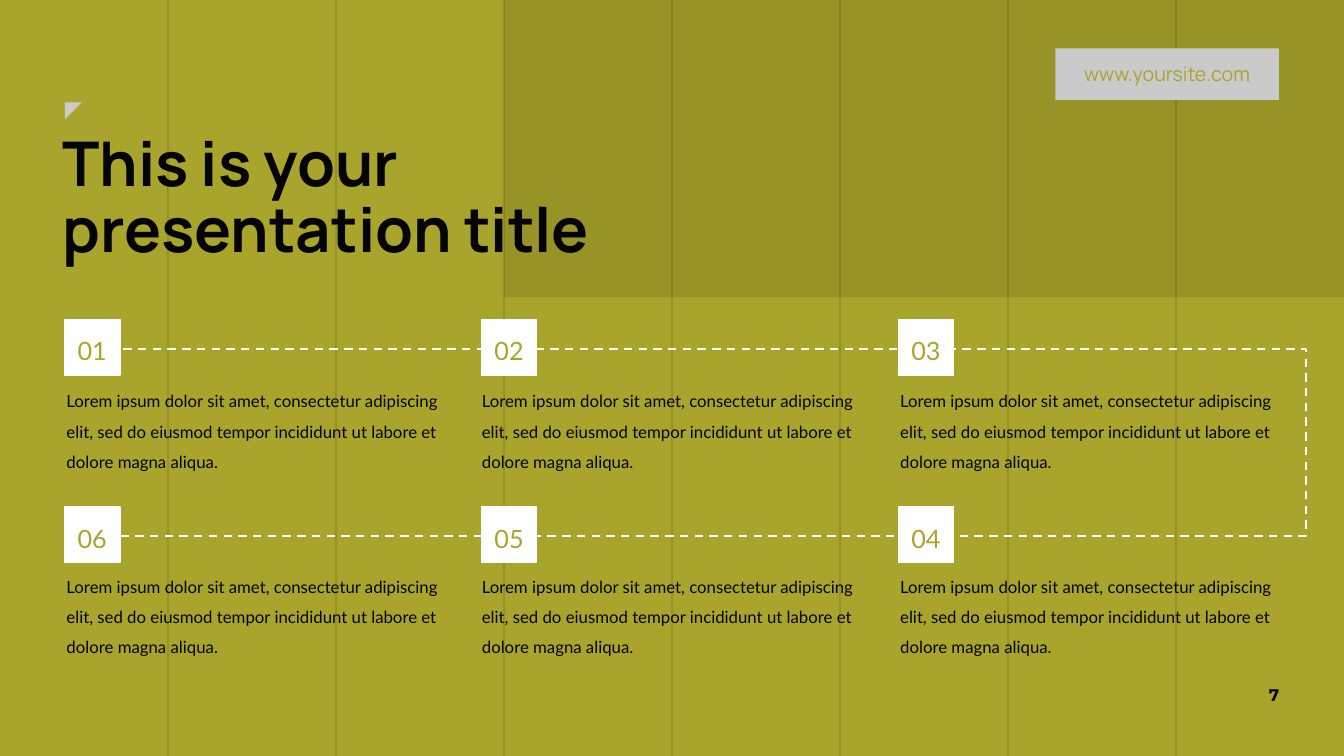
from lxml import etree
from pptx import Presentation
from pptx.dml.color import RGBColor
from pptx.enum.dml import MSO_LINE
from pptx.enum.shapes import MSO_CONNECTOR, MSO_SHAPE
from pptx.enum.text import MSO_ANCHOR, PP_ALIGN
from pptx.oxml.ns import qn
from pptx.util import Pt

RECTANGLE = MSO_SHAPE.RECTANGLE
TRIANGLE = MSO_SHAPE.RIGHT_TRIANGLE
STRAIGHT = MSO_CONNECTOR.STRAIGHT
DASH = MSO_LINE.DASH
TOP, MIDDLE = MSO_ANCHOR.TOP, MSO_ANCHOR.MIDDLE
LEFT, CENTER, RIGHT = PP_ALIGN.LEFT, PP_ALIGN.CENTER, PP_ALIGN.RIGHT

INK, OLIVE, GRAY, WHITE = "040404", "A9A42C", "CACACA", "FFFFFF"
LOREM = ("Lorem ipsum dolor sit amet, consectetur adipiscing elit, sed do eiusmod "
         "tempor incididunt ut labore et dolore magna aliqua.")


def paint(color_format, color, opacity=100):
    color_format.rgb = RGBColor.from_string(color)
    if opacity < 100:
        for node in color_format._xFill.iter(qn("a:srgbClr")):
            etree.SubElement(node, qn("a:alpha"), val=str(opacity * 1000))


def write(box, text, font, size, color, align=LEFT, anchor=TOP, spacing=1.0,
          insets=(7.2, 3.6, 7.2, 3.6), bold=False):
    frame = box.text_frame
    frame.word_wrap = True
    frame.vertical_anchor = anchor
    frame.margin_left, frame.margin_top, frame.margin_right, frame.margin_bottom = map(Pt, insets)
    para = frame.paragraphs[0]
    para.alignment = align
    para.line_spacing = spacing
    span = para.add_run()
    span.text = text
    span.font.name = font
    span.font.size = Pt(size)
    span.font.bold = bold
    paint(span.font.color, color)


deck = Presentation()
deck.slide_width, deck.slide_height = Pt(960), Pt(540)
page = deck.slides.add_slide(deck.slide_layouts[6])
page.background.fill.solid()
paint(page.background.fill.fore_color, OLIVE)
shapes = page.shapes

number_box = shapes.add_textbox(Pt(888.5), Pt(481.7), Pt(32.4), Pt(28.8))
write(number_box, "7", "Montserrat", 12, INK, RIGHT, MIDDLE, bold=True)

panel = shapes.add_shape(RECTANGLE, Pt(360), Pt(0), Pt(600), Pt(212.4))
panel.shadow.inherit = False
panel.fill.solid()
paint(panel.fill.fore_color, INK, 10)
panel.line.fill.background()

for column in range(1, 8):
    x = Pt(120 * column)
    guide = shapes.add_connector(STRAIGHT, x, Pt(0), x, Pt(540))
    guide.line.width = Pt(1.5)
    guide.line.fill.solid()
    paint(guide.line.fill.fore_color, INK, 10)
    etree.SubElement(guide._element.spPr, qn("a:effectLst"))

corner = shapes.add_shape(TRIANGLE, Pt(46.4), Pt(73.2), Pt(12), Pt(12))
corner.rotation = 90
corner.shadow.inherit = False
corner.fill.solid()
paint(corner.fill.fore_color, GRAY)
corner.line.fill.background()

title = shapes.add_textbox(Pt(37.4), Pt(91.4), Pt(523.4), Pt(113.8))
write(title, "This is your presentation title", "Manrope", 44, INK, spacing=0.9, bold=True)

outline = shapes.build_freeform(Pt(46), Pt(249.2))
outline.add_line_segments(
    [(Pt(933), Pt(249.2)), (Pt(933), Pt(382.7)), (Pt(46), Pt(382.7))], close=False)
route = outline.convert_to_shape()
route.shadow.inherit = False
route.fill.background()
route.line.width = Pt(1.5)
route.line.dash_style = DASH
paint(route.line.color, WHITE)

rows = [(("01", "02", "03"), 228.2, 272.2), (("06", "05", "04"), 362.2, 404.6)]
text_lefts = (47.5, 344.2, 643)
for labels, square_top, text_top in rows:
    for column, label in enumerate(labels):
        body = shapes.add_textbox(Pt(text_lefts[column]), Pt(text_top), Pt(270.7), Pt(62.6))
        write(body, LOREM, "Lato", 12, INK, spacing=1.5, insets=(0, 0, 0, 0))

        square = shapes.add_shape(
            RECTANGLE, Pt(46 + 297.8 * column), Pt(square_top), Pt(39.6), Pt(39.6))
        square.shadow.inherit = False
        square.fill.solid()
        paint(square.fill.fore_color, WHITE)
        square.line.width = Pt(1)
        paint(square.line.color, WHITE)
        write(square, label, "Lato", 18, OLIVE, CENTER, MIDDLE, 1.5, (0, 0, 0, 5.8))

site = shapes.add_shape(RECTANGLE, Pt(753.8), Pt(34.6), Pt(159.8), Pt(36.7))
site.shadow.inherit = False
site.fill.solid()
paint(site.fill.fore_color, GRAY)
site.line.fill.background()
write(site, "www.yoursite.com", "Manrope", 14, OLIVE, CENTER, MIDDLE)

deck.save("out.pptx")
